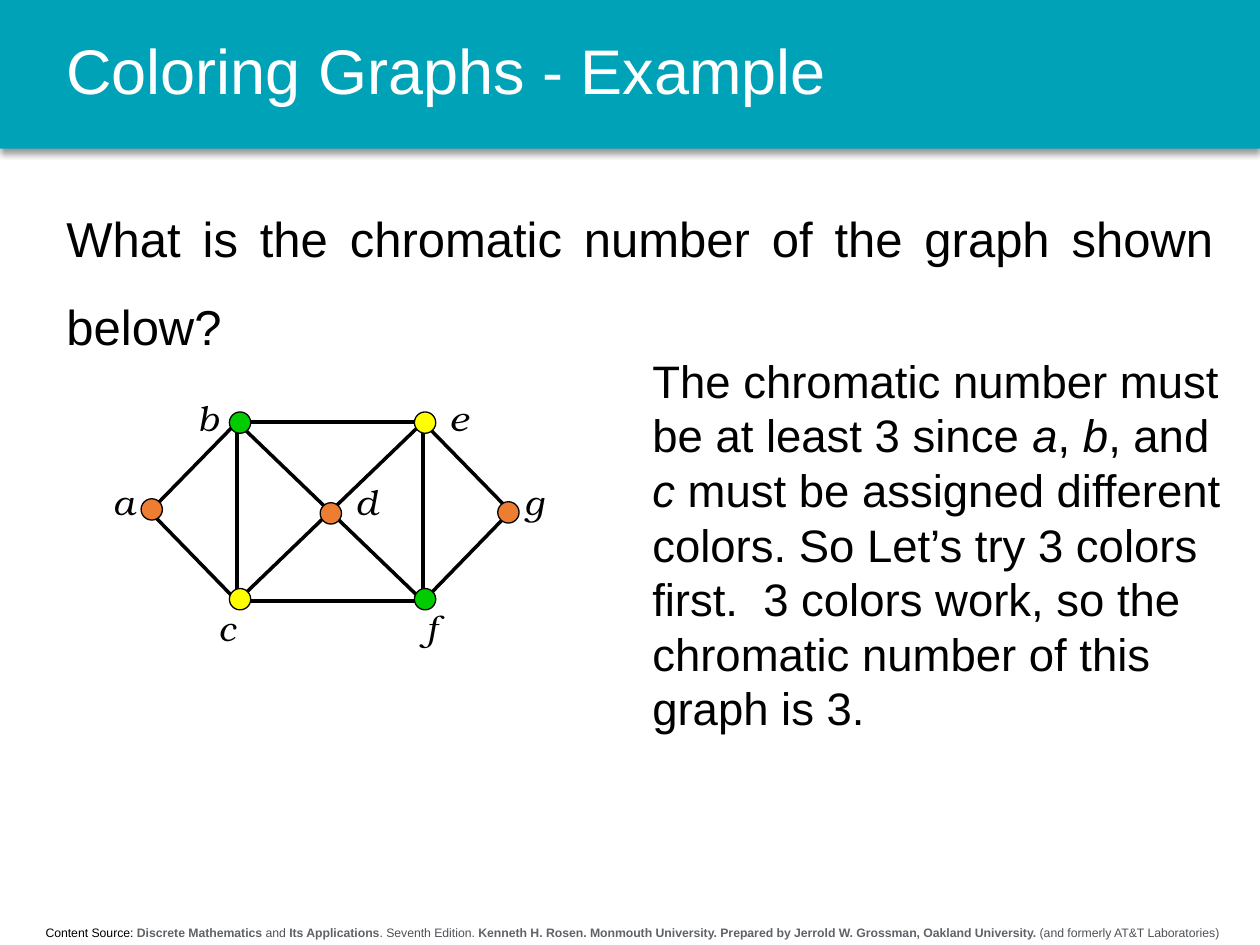
import pptx
import pptx.util
import pptx.dml.color
import pptx.enum.shapes
import pptx.enum.text
import pptx.oxml
import pptx.oxml.ns

Cm, Pt = pptx.util.Cm, pptx.util.Pt
RGBColor = pptx.dml.color.RGBColor
Align = pptx.enum.text.PP_ALIGN
Anchor = pptx.enum.text.MSO_ANCHOR
Shape = pptx.enum.shapes.MSO_SHAPE

TEAL = RGBColor(0x00, 0xA2, 0xB8)
BLACK = RGBColor(0x00, 0x00, 0x00)
WHITE = RGBColor(0xFF, 0xFF, 0xFF)
ORANGE = RGBColor(0xED, 0x7D, 0x31)
YELLOW = RGBColor(0xFF, 0xFF, 0x00)
GREEN = RGBColor(0x00, 0xCC, 0x00)
GREY = RGBColor(0x5F, 0x63, 0x68)
SLATE = RGBColor(0x4D, 0x51, 0x56)

# Content: runs are (text, style), where style holds b, i or a colour
TITLE = [("Coloring Graphs - Example", {"color": WHITE})]
ASK = [("What is the chromatic number of the graph shown below?", {})]
ANSWER = [
    ("The chromatic number must be at least 3 since ", {}),
    ("a", {"i": True}), (", ", {}), ("b", {"i": True}), (", and ", {}),
    ("c", {"i": True}),
    (" must be assigned different colors. So Let’s try 3 colors first.  "
     "3 colors work, so the chromatic number of this graph is 3.", {}),
]
BOLD, PLAIN = {"b": True, "color": GREY}, {"color": SLATE}
SOURCE = [
    ("Content Source: ", {}),
    ("Discrete Mathematics", BOLD), (" and ", PLAIN),
    ("Its Applications", BOLD), (". Seventh Edition. ", PLAIN),
    ("Kenneth H. Rosen. Monmouth University. Prepared by "
     "Jerrold W. Grossman, Oakland University.", BOLD),
    (" (and formerly AT&T Laboratories)", PLAIN),
]

# Graph, in cm: name -> (colour, dot centre, label centre)
NODES = {
    "a": (ORANGE, (3.06, 10.27), (2.49, 10.11)),
    "b": (GREEN, (4.84, 8.52), (4.19, 8.41)),
    "c": (YELLOW, (4.84, 12.08), (4.57, 12.65)),
    "d": (ORANGE, (6.67, 10.35), (7.39, 10.11)),
    "e": (YELLOW, (8.57, 8.52), (9.25, 8.41)),
    "f": (GREEN, (8.57, 12.08), (8.69, 12.65)),
    "g": (ORANGE, (10.25, 10.33), (10.77, 10.11)),
}
# Line ends; the two diagonals cross at d
ENDS = {
    "a": (3.02, 10.31), "b": (4.78, 8.51), "c": (4.78, 12.12),
    "e": (8.53, 8.51), "f": (8.53, 12.12), "g": (10.29, 10.31),
}
EDGES = ["be", "bc", "cf", "ef", "bf", "ce", "ab", "ac", "eg", "fg"]
DOT = 0.43
TAG = 1.0

deck = pptx.Presentation()
deck.slide_width, deck.slide_height = Cm(25.4), Cm(19.05)
slide = deck.slides.add_slide(deck.slide_layouts[6])
shapes = slide.shapes


def add_text(box, runs, size, align=Align.LEFT, space=None,
             anchor=Anchor.TOP, font="Arial", inset=None):
    part = shapes.add_textbox(*map(Cm, box))
    frame = part.text_frame
    frame.word_wrap = True
    frame.vertical_anchor = anchor
    if inset is not None:
        frame.margin_left = frame.margin_right = Cm(inset)
        frame.margin_top = frame.margin_bottom = Cm(inset)
    para = frame.paragraphs[0]
    para.alignment = align
    if space:
        para.line_spacing = space
    for text, style in runs:
        run = para.add_run()
        run.text = text
        run.font.name, run.font.size = font, Pt(size)
        run.font.bold = style.get("b", False)
        run.font.italic = style.get("i", False)
        run.font.color.rgb = style.get("color", BLACK)


# Title band with a soft shadow below
band = shapes.add_shape(Shape.RECTANGLE, 0, 0, Cm(25.4), Cm(3))
band.fill.solid()
band.fill.fore_color.rgb = TEAL
band.line.fill.background()
band.shadow.inherit = False
glow = pptx.oxml.parse_xml(
    '<a:outerShdw xmlns:a="http://schemas.openxmlformats.org/drawingml/2006/main"'
    ' blurRad="50800" dist="38100" dir="5400000" rotWithShape="0">'
    '<a:srgbClr val="000000"><a:alpha val="40000"/></a:srgbClr></a:outerShdw>')
band._element.spPr.find(pptx.oxml.ns.qn("a:effectLst")).append(glow)

# Texts
add_text((0.1, 18.52, 25.3, 0.56), SOURCE, 7, Align.CENTER)
add_text((1.09, 0, 23.62, 3), TITLE, 36, space=0.9, anchor=Anchor.MIDDLE)
add_text((1.09, 3.48, 23.62, 3.89), ASK, 28, Align.JUSTIFY, space=1.5)
add_text((12.9, 6.99, 12.07, 8.03), ANSWER, 26)

# Edges
for start, end in EDGES:
    edge = shapes.add_connector(
        pptx.enum.shapes.MSO_CONNECTOR.STRAIGHT,
        *map(Cm, ENDS[start] + ENDS[end]))
    edge.line.color.rgb = BLACK
    edge.line.width = Pt(2)
    edge._element.spPr.append(pptx.oxml.parse_xml(
        '<a:effectLst xmlns:a="http://schemas.openxmlformats.org/drawingml/2006/main"/>'))

# Nodes and their labels
for name, (color, (x, y), (left, top)) in NODES.items():
    dot = shapes.add_shape(Shape.OVAL, Cm(x - DOT / 2), Cm(y - DOT / 2),
                           Cm(DOT), Cm(DOT))
    dot.fill.solid()
    dot.fill.fore_color.rgb = color
    dot.line.color.rgb = BLACK
    dot.line.width = Pt(0.75)
    dot.shadow.inherit = False
    add_text((left - TAG / 2, top - TAG / 2, TAG, TAG), [(name, {"i": True})],
             20, Align.CENTER, anchor=Anchor.MIDDLE,
             font="TeX Gyre Bonum", inset=0)

deck.save("out.pptx")
